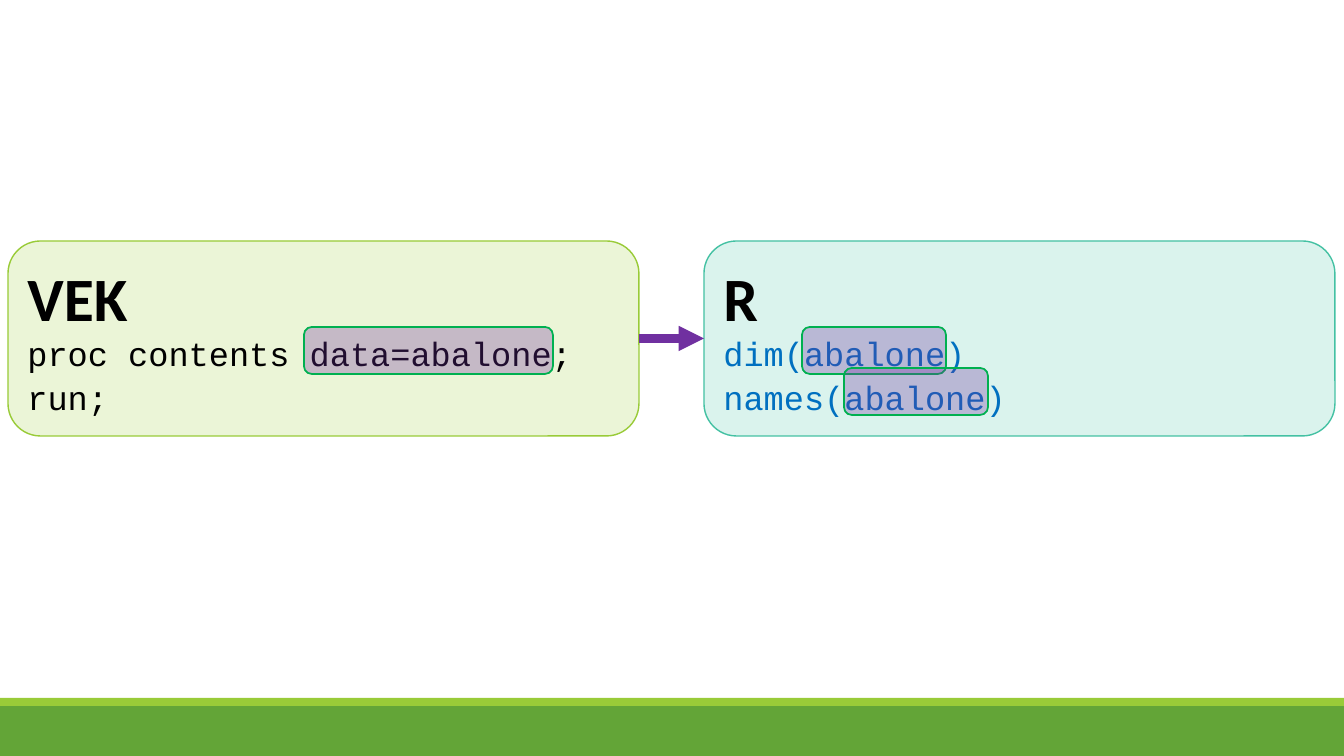
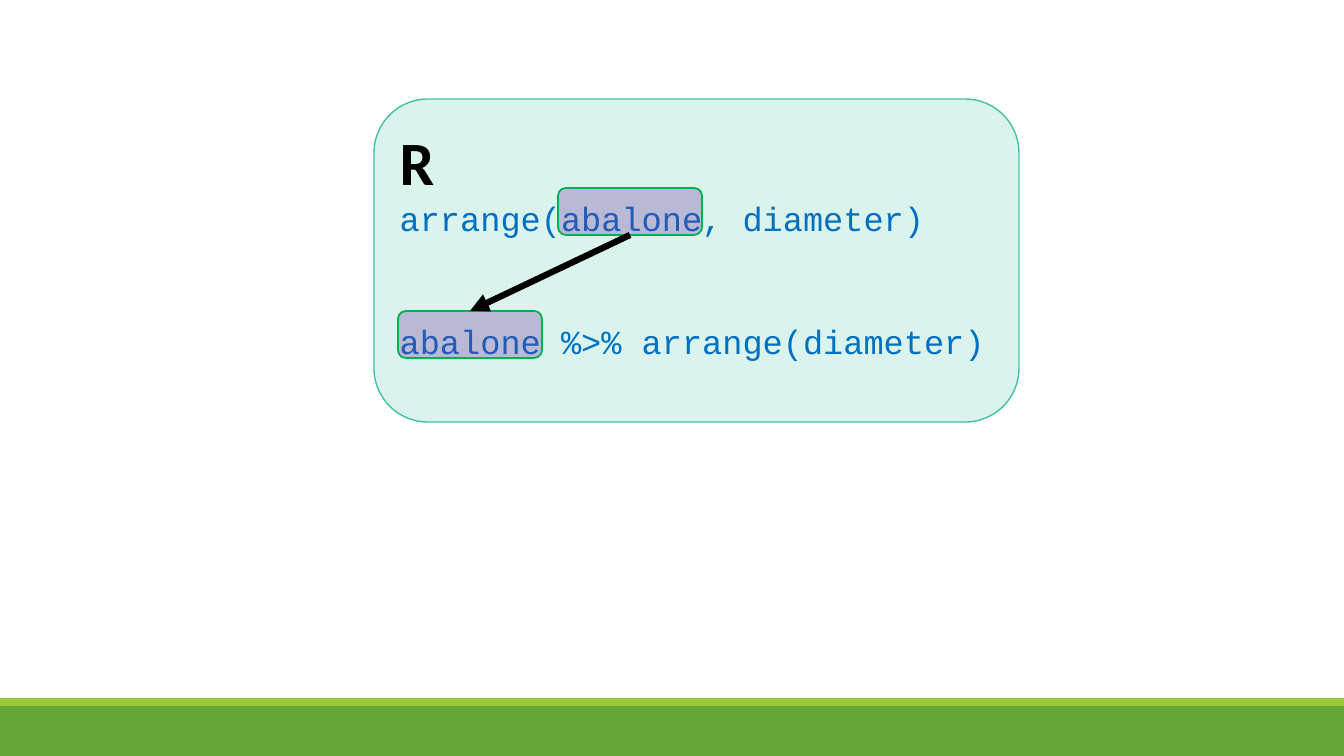
from lxml import etree
from pptx import Presentation
from pptx.dml.color import RGBColor
from pptx.enum.shapes import MSO_CONNECTOR, MSO_SHAPE
from pptx.enum.text import MSO_ANCHOR, PP_ALIGN
from pptx.oxml.ns import qn
from pptx.util import Pt

RECT, ROUND = MSO_SHAPE.RECTANGLE, MSO_SHAPE.ROUNDED_RECTANGLE
STRAIGHT = MSO_CONNECTOR.STRAIGHT
TOP, LEFT = MSO_ANCHOR.TOP, PP_ALIGN.LEFT
BOTTOM_SITE, TOP_SITE, LEFT_SITE, RIGHT_SITE = 2, 0, 1, 3

W, H = 1344, 756
PX = 12192000 / W
rgb = RGBColor.from_string

BLACK, BLUE, PURPLE, GREEN = "000000", "0070C0", "7030A0", "00B050"
VEK_STYLE = dict(fill="EBF5D7", line="99CB38")
R_STYLE = dict(fill="DAF3ED", line="44C1A3")
BANDS = [((0, 706, W, 50), "63A537"), ((0, 698, W, 8), "99CB38")]


def add_box(s, kind, rect, fill, line=None, weight=1, alpha=None):
    sp = s.shapes.add_shape(kind, *(round(v * PX) for v in rect))
    sp.shadow.inherit = False
    sp.fill.solid()
    sp.fill.fore_color.rgb = rgb(fill)
    if line:
        sp.line.color.rgb = rgb(line)
        sp.line.width = Pt(weight)
    else:
        sp.line.fill.background()
    if alpha:
        color = sp.element.spPr.find(qn("a:solidFill"))[0]
        etree.SubElement(color, qn("a:alpha")).set("val", str(alpha * 1000))
    return sp


def add_text(p, text, size=24, font="Courier New", color=BLACK, bold=False, after=0):
    p.alignment = LEFT
    p.space_after = Pt(after)
    r = p.add_run()
    r.text = text
    r.font.size, r.font.name, r.font.bold = Pt(size), font, bold
    r.font.color.rgb = rgb(color)


# Code boxes: rectangle, style, heading, code colour, gap after a line, code lines
# Arrow: colour, weight, start site, end site; it joins the first two code boxes
# or, on a slide with one box, the first two highlights
SLIDES = [
    dict(
        boxes=[
            ((8, 241, 631, 195), VEK_STYLE, "VEK", BLACK, 2,
             ["proc contents data=abalone;", "run;"]),
            ((704, 241, 631, 195), R_STYLE, "R", BLUE, 2,
             ["dim(abalone)", "names(abalone)"]),
        ],
        highlights=[(304, 327, 249, 47), (802, 327, 144, 47), (844, 368, 144, 47)],
        arrow=(PURPLE, 6, RIGHT_SITE, LEFT_SITE),
    ),
    dict(
        boxes=[
            ((374, 99, 645, 323), R_STYLE, "R", BLUE, 59,
             ["arrange(abalone, diameter)", "abalone %>% arrange(diameter)"]),
        ],
        highlights=[(558, 188, 144, 47), (398, 311, 144, 47)],
        arrow=(BLACK, 4.5, BOTTOM_SITE, TOP_SITE),
    ),
]

prs = Presentation()
prs.slide_width, prs.slide_height = round(W * PX), round(H * PX)
slides = [prs.slides.add_slide(prs.slide_layouts[6]) for _ in SLIDES]

# Footer bands, moved to the master so that every slide shows them
for i, (rect, fill) in enumerate(BANDS):
    band = add_box(slides[0], RECT, rect, fill)
    band.element.nvSpPr.cNvPr.id = 20 + i
    prs.slide_master.shapes.element.append(band.element)

for s, content in zip(slides, SLIDES):
    # Code boxes
    boxes = []
    for rect, style, heading, color, gap, lines in content["boxes"]:
        sp = add_box(s, ROUND, rect, **style)
        tf = sp.text_frame
        tf.word_wrap = True
        tf.vertical_anchor = TOP
        tf.margin_top = round(9 * PX)
        add_text(tf.paragraphs[0], heading, size=44, font="Calibri", bold=True)
        for line in lines:
            add_text(tf.add_paragraph(), line, color=color, after=gap)
        boxes.append(sp)

    # Highlights over the data set name
    marks = [add_box(s, ROUND, rect, PURPLE, line=GREEN, weight=1.25, alpha=30)
             for rect in content["highlights"]]

    # Arrow
    color, weight, start_site, end_site = content["arrow"]
    start, end = boxes if len(boxes) == 2 else marks
    arrow = s.shapes.add_connector(STRAIGHT, 0, 0, 0, 0)
    arrow.begin_connect(start, start_site)
    arrow.end_connect(end, end_site)
    arrow.line.color.rgb = rgb(color)
    arrow.line.width = Pt(weight)
    etree.SubElement(arrow.line._get_or_add_ln(), qn("a:tailEnd")).set("type", "triangle")
    etree.SubElement(arrow.element.spPr, qn("a:effectLst"))

prs.save("out.pptx")
